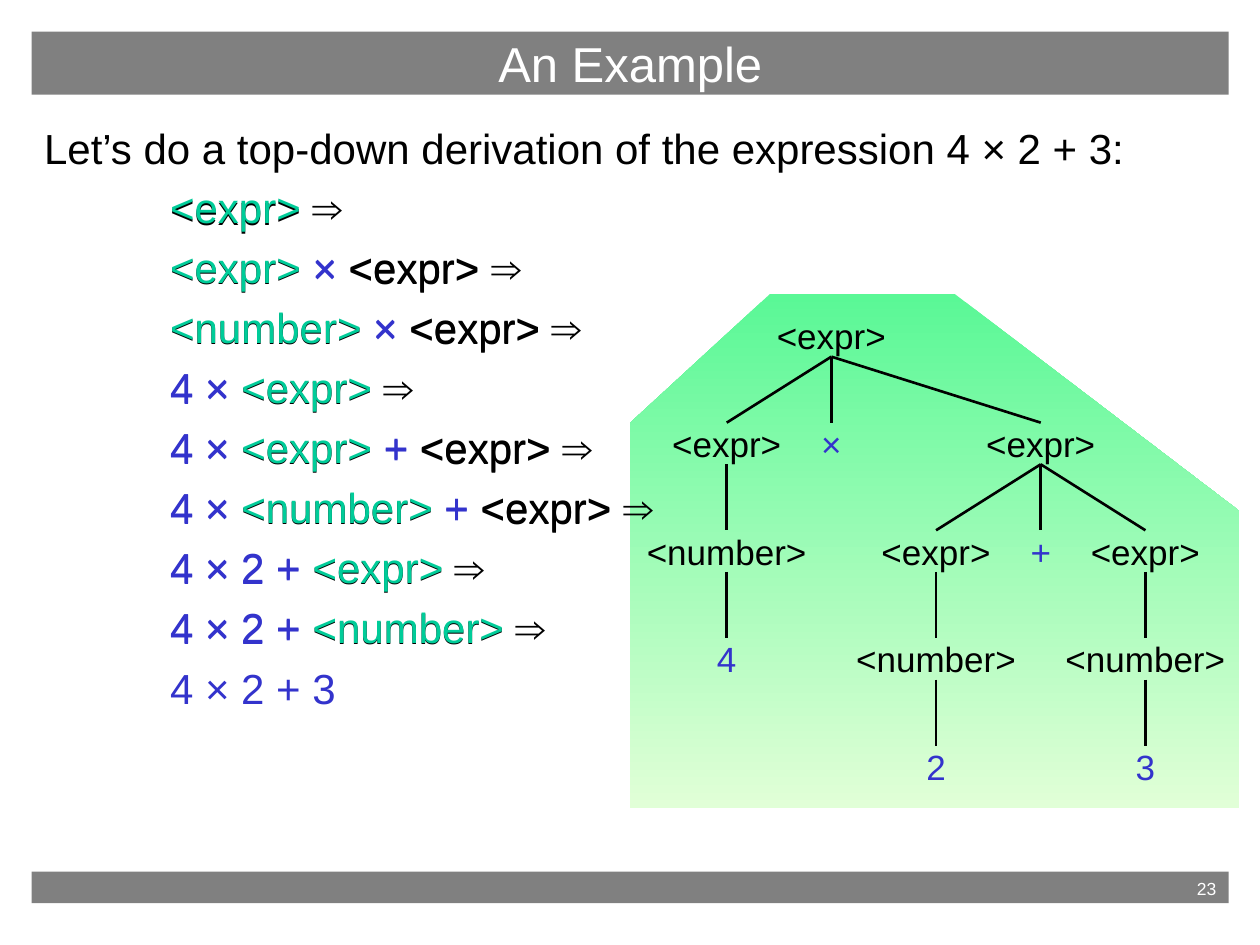
from pptx import Presentation
from pptx.dml.color import RGBColor
from pptx.enum.shapes import MSO_CONNECTOR, MSO_SHAPE
from pptx.enum.text import MSO_ANCHOR, PP_ALIGN
from pptx.oxml.ns import qn
from pptx.util import Cm, Pt

RECT, STRAIGHT = MSO_SHAPE.RECTANGLE, MSO_CONNECTOR.STRAIGHT
TOP, MIDDLE = MSO_ANCHOR.TOP, MSO_ANCHOR.MIDDLE
LEFT, CENTER, RIGHT = PP_ALIGN.LEFT, PP_ALIGN.CENTER, PP_ALIGN.RIGHT

FONT = "Arial"
COLORS = {
    "bar": "808080", "white": "FFFFFF", "black": "000000",
    "terminal": "3333CC", "active": "00CC99",
    "tree_top": "5AF896", "tree_bottom": "E1FFD7",
}

# Content
TITLE = "An Example"
PAGE = "23"
INTRO = "Let’s do a top-down derivation of the expression 4 × 2 + 3:"

# Each derivation step: (text, role); "active" is what the step has rewritten
STEPS = [
    [("<expr>", "active")],
    [("<expr>", "active"), ("×", "terminal"), ("<expr>", "black")],
    [("<number>", "active"), ("×", "terminal"), ("<expr>", "black")],
    [("4 ×", "terminal"), ("<expr>", "active")],
    [("4 ×", "terminal"), ("<expr>", "active"), ("+", "terminal"), ("<expr>", "black")],
    [("4 ×", "terminal"), ("<number>", "active"), ("+", "terminal"), ("<expr>", "black")],
    [("4 × 2 +", "terminal"), ("<expr>", "active")],
    [("4 × 2 +", "terminal"), ("<number>", "active")],
    [("4 × 2 + 3", "terminal")],
]

# Parse tree: name, text, column, row, parent
NODES = [
    ("root", "<expr>", 1, 0, None),
    ("left", "<expr>", 0, 1, "root"),
    ("times", "×", 1, 1, "root"),
    ("right", "<expr>", 3, 1, "root"),
    ("left number", "<number>", 0, 2, "left"),
    ("first addend", "<expr>", 2, 2, "right"),
    ("plus", "+", 3, 2, "right"),
    ("second addend", "<expr>", 4, 2, "right"),
    ("four", "4", 0, 3, "left number"),
    ("first number", "<number>", 2, 3, "first addend"),
    ("second number", "<number>", 4, 3, "second addend"),
    ("two", "2", 2, 4, "first number"),
    ("three", "3", 4, 4, "second number"),
]

# Layout in centimetres
MARGIN, WIDTH = 0.64, 24.13
STEP_TOP, STEP_GAP, STEP_HEIGHT, STEP_INDENT = 3.53, 1.21, 2.57, 2.54
TREE_X, TREE_Y, COLUMN, ROW = 14.65, 6.35, 2.11, 2.17
NODE_HEIGHT = 0.84
NODE_WIDTHS = {"<expr>": 2.21, "<number>": 3.23}
SYMBOL_WIDTH = 0.41
TREE_AREA = [(19.25, 5.93), (15.52, 5.93), (12.7, 8.53),
             (12.7, 16.29), (24.98, 16.29), (24.98, 10.3)]

prs = Presentation()
prs.slide_width, prs.slide_height = Cm(25.4), Cm(19.05)
slide = prs.slides.add_slide(prs.slide_layouts[6])
shapes = slide.shapes


def rgb(name):
    return RGBColor.from_string(COLORS[name])


def add_run(p, text, size, color, bold=False):
    r = p.add_run()
    r.text = text
    r.font.name, r.font.size, r.font.bold = FONT, Pt(size), bold
    r.font.color.rgb = rgb(color)


def add_bar(top, height, text, size, align, anchor):
    sp = shapes.add_shape(RECT, Cm(MARGIN), Cm(top), Cm(WIDTH), Cm(height))
    sp.shadow.inherit = False
    sp.fill.solid()
    sp.fill.fore_color.rgb = rgb("bar")
    sp.line.fill.background()
    tf = sp.text_frame
    tf.vertical_anchor = anchor
    tf.paragraphs[0].alignment = align
    add_run(tf.paragraphs[0], text, size, "white")


def add_body(top, height):
    tf = shapes.add_textbox(Cm(MARGIN), Cm(top), Cm(WIDTH), Cm(height)).text_frame
    tf.word_wrap = True
    return tf


def fill_step(p, step, current):
    """Write a step; the upcoming one is still uncoloured and has no arrow."""
    p.space_before = Pt(6)
    p.alignment = LEFT
    pPr = p._p.get_or_add_pPr()
    pPr.set("marL", str(Cm(STEP_INDENT)))
    pPr.set("indent", "0")
    for i, (text, role) in enumerate(step):
        color = role if current or role != "active" else "black"
        gap = " " if current or i < len(step) - 1 else ""
        add_run(p, text + gap, 24, color)
    if current:
        add_run(p, "⇒", 24, "black", bold=True)


# Footer bar and shaded tree area
add_bar(17.57, 0.64, PAGE, 10, RIGHT, TOP)

points = [(Cm(x), Cm(y)) for x, y in TREE_AREA]
builder = shapes.build_freeform(*points[0], scale=1.0)
builder.add_line_segments(points[1:], close=True)
area = builder.convert_to_shape()
area.shadow.inherit = False
area.line.fill.background()
area.fill.gradient()
area.fill.gradient_angle = 270
for stop, color, position in zip(area.fill.gradient_stops, ("tree_top", "tree_bottom"), (0, 1)):
    stop.color.rgb = rgb(color)
    stop.position = position

# Introduction, followed by the start symbol
tf = add_body(2.34, 2.62)
p = tf.paragraphs[0]
p.space_before = Pt(6)
add_run(p, INTRO, 24, "black")
fill_step(tf.add_paragraph(), STEPS[0], current=False)

add_bar(MARGIN, 1.27, TITLE, 28, CENTER, MIDDLE)

# Derivation: each box holds the current step and the upcoming one
for i, (step, upcoming) in enumerate(zip(STEPS, STEPS[1:])):
    tf = add_body(STEP_TOP + i * STEP_GAP, STEP_HEIGHT)
    fill_step(tf.paragraphs[0], step, current=True)
    fill_step(tf.add_paragraph(), upcoming, current=False)

# Tree nodes
boxes = {}
for name, text, col, row, parent in NODES:
    width = NODE_WIDTHS.get(text, SYMBOL_WIDTH)
    box = shapes.add_textbox(Cm(TREE_X + col * COLUMN - width / 2), Cm(TREE_Y + row * ROW),
                             Cm(width), Cm(NODE_HEIGHT))
    tf = box.text_frame
    tf.margin_left = tf.margin_right = tf.margin_top = tf.margin_bottom = 0
    tf.word_wrap = False
    tf.vertical_anchor = MIDDLE
    tf.paragraphs[0].alignment = CENTER
    add_run(tf.paragraphs[0], text, 20, "black" if text in NODE_WIDTHS else "terminal")
    boxes[name] = box

# Tree branches
for name, text, col, row, parent in NODES:
    if parent:
        line = shapes.add_connector(STRAIGHT, 0, 0, 0, 0)
        line.begin_connect(boxes[parent], 2)
        line.end_connect(boxes[name], 0)
        line.line.color.rgb = rgb("black")
        line.line.width = Pt(1.5)
        spPr = line._element.spPr
        spPr.append(spPr.makeelement(qn("a:effectLst"), {}))

prs.save("out.pptx")
